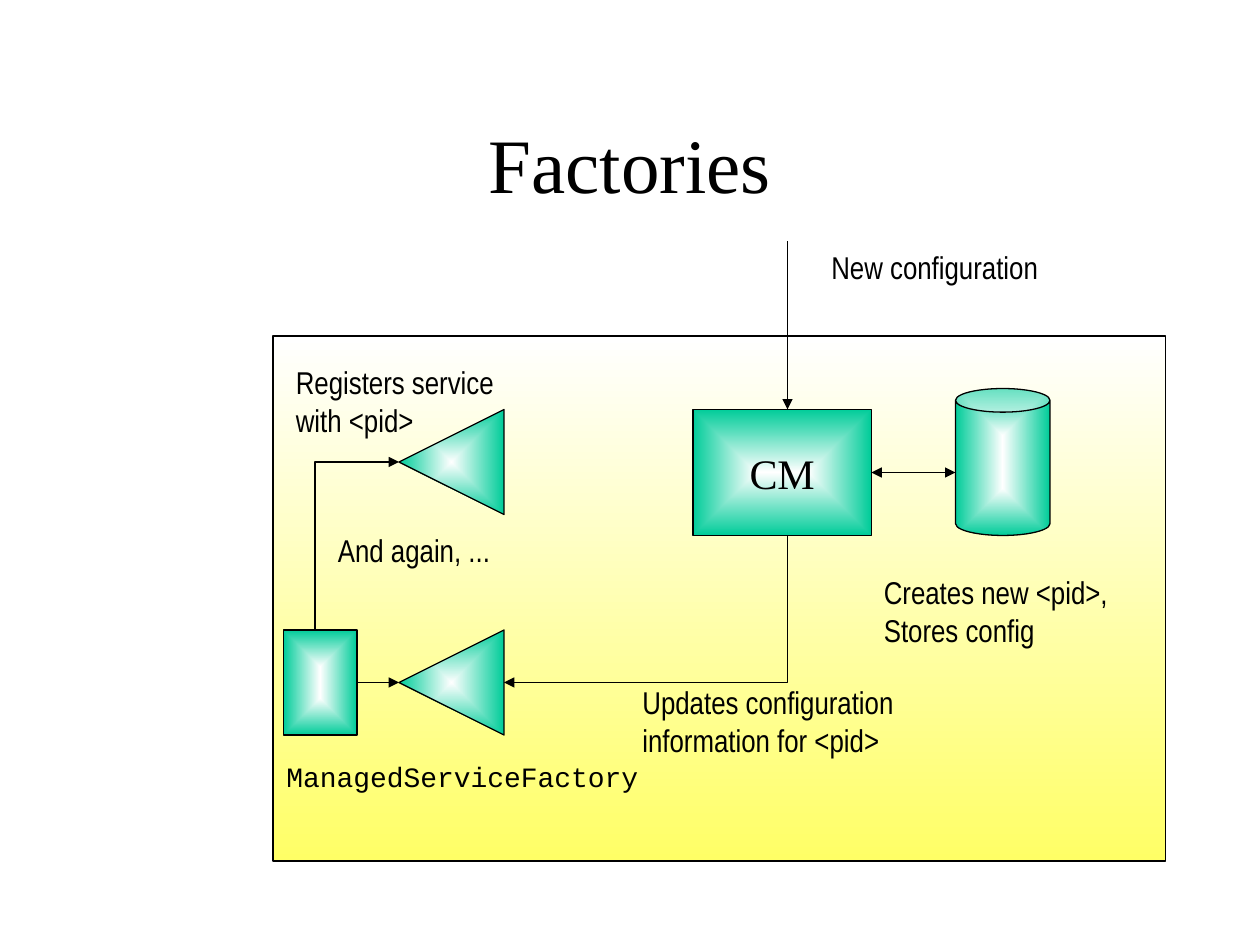
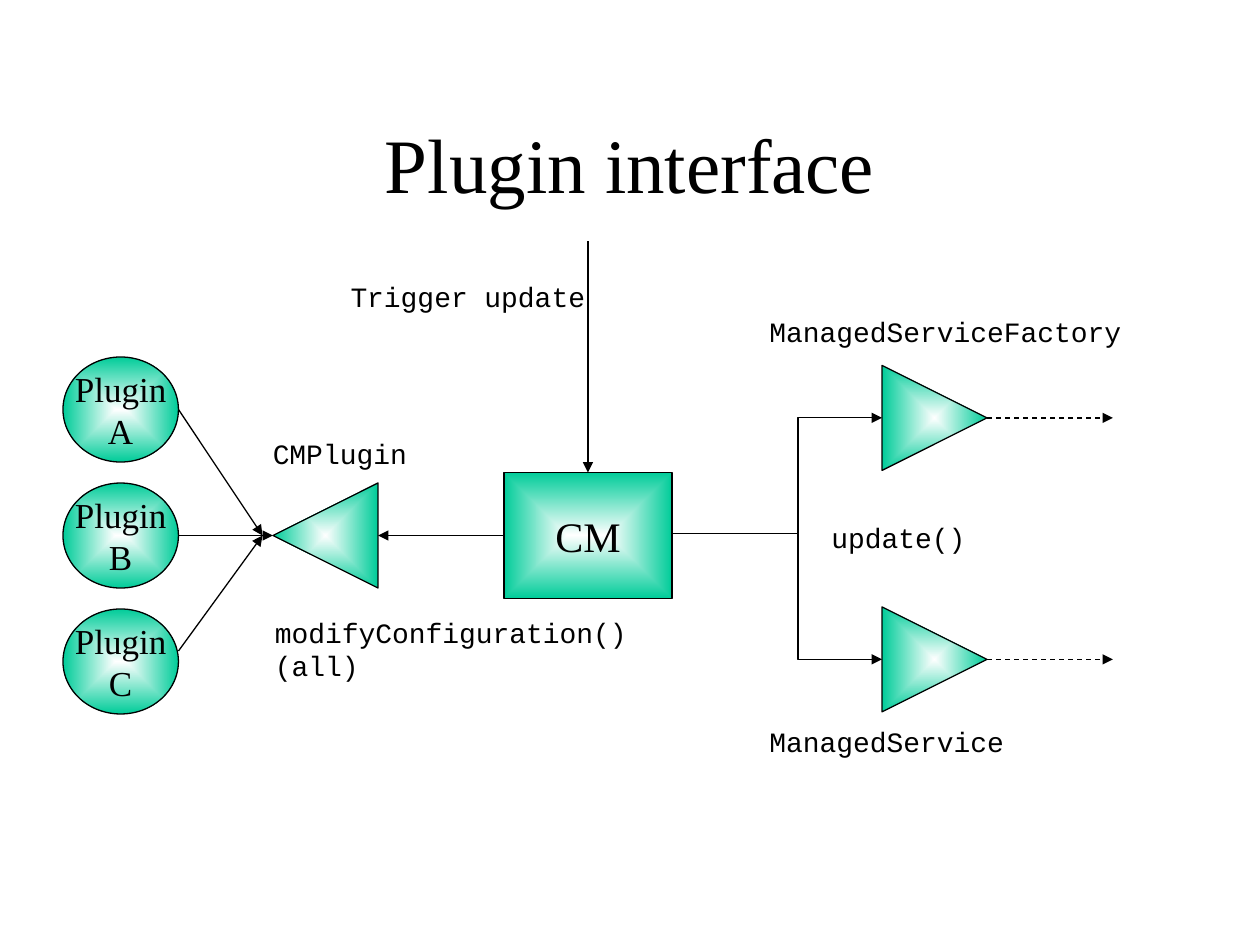
"""Build two slides on configuration factories and the plugin interface."""
from dataclasses import dataclass

from lxml import etree
from pptx import Presentation
from pptx import util as u
from pptx.dml.color import RGBColor
from pptx.enum import dml, shapes, text
from pptx.oxml.ns import qn

EMU_PER_PX = 7620
SHAPE = shapes.MSO_SHAPE
ALIGN = text.PP_ALIGN


@dataclass(frozen=True)
class Theme:
    ink: RGBColor = RGBColor(0, 0, 0)
    white: RGBColor = RGBColor(255, 255, 255)
    green: RGBColor = RGBColor(0, 204, 153)
    yellow: RGBColor = RGBColor(255, 255, 102)
    line: float = 0.75
    title: tuple = ("Times New Roman", 44)
    node: tuple = ("Times New Roman", 24)
    plugin: tuple = ("Times New Roman", 20)
    note: tuple = ("Arial Narrow", 18)
    code: tuple = ("Courier New", 16)


THEME = Theme()


def px(*lengths):
    return [u.Emu(length * EMU_PER_PX) for length in lengths]


def write_text(frame, lines, style, alignment=ALIGN.LEFT):
    font_name, size = style
    frame.text = "\n".join(lines)
    for paragraph in frame.paragraphs:
        paragraph.alignment = alignment
        paragraph.font.name = font_name
        paragraph.font.size = u.Pt(size)
        paragraph.font.color.rgb = THEME.ink


def add_title(slide, title):
    frame = slide.shapes.add_textbox(*px(90, 80, 1020, 150)).text_frame
    frame.word_wrap = True
    frame.vertical_anchor = text.MSO_ANCHOR.MIDDLE
    write_text(frame, [title], THEME.title, ALIGN.CENTER)


def add_label(slide, left, top, width, lines, style):
    height = 12 + 2 * style[1] * len(lines)
    frame = slide.shapes.add_textbox(*px(left, top, width, height)).text_frame
    frame.word_wrap = False
    frame.auto_size = text.MSO_AUTO_SIZE.SHAPE_TO_FIT_TEXT
    write_text(frame, lines, style)


def draw_line(line):
    line.color.rgb = THEME.ink
    line.width = u.Pt(THEME.line)


def fill_gradient(shape, color):
    shape.fill.gradient()
    shape.fill.gradient_angle = 270
    for stop, stop_color in zip(shape.fill.gradient_stops, (THEME.white, color)):
        stop.color.rgb = stop_color


def center_gradient(shape):
    linear = shape.element.spPr.find(qn("a:gradFill")).find(qn("a:lin"))
    radial = etree.Element(qn("a:path"), {"path": "rect"})
    etree.SubElement(radial, qn("a:fillToRect"), dict.fromkeys("ltrb", "50000"))
    linear.getparent().replace(linear, radial)


def add_panel(slide, kind, box, color):
    shape = slide.shapes.add_shape(kind, *px(*box))
    shape.shadow.inherit = False
    fill_gradient(shape, color)
    draw_line(shape.line)
    return shape


def add_node(slide, kind, box, lines=(), style=THEME.node):
    shape = add_panel(slide, kind, box, THEME.green)
    center_gradient(shape)
    if lines:
        shape.text_frame.word_wrap = False
        shape.text_frame.vertical_anchor = text.MSO_ANCHOR.MIDDLE
        write_text(shape.text_frame, lines, style, ALIGN.CENTER)
    return shape


def add_service(slide, left, top, rotation):
    triangle = add_node(slide, SHAPE.ISOSCELES_TRIANGLE, (left, top, 100, 100))
    triangle.rotation = rotation


def add_arrowheads(shape, ends=("tailEnd",)):
    outline = shape.element.spPr.find(qn("a:ln"))
    for end in ends:
        etree.SubElement(outline, qn(f"a:{end}"), {"type": "triangle"})


def add_arrow(slide, start, end, ends=("tailEnd",), dashed=False):
    connector = slide.shapes.add_connector(
        shapes.MSO_CONNECTOR.STRAIGHT, *px(*start, *end))
    draw_line(connector.line)
    if dashed:
        connector.line.dash_style = dml.MSO_LINE.DASH
    add_arrowheads(connector, ends)
    etree.SubElement(connector.element.spPr, qn("a:effectLst"))
    return connector


def add_bent_arrow(slide, start, *corners):
    builder = slide.shapes.build_freeform(*start, scale=EMU_PER_PX)
    builder.add_line_segments(corners, close=False)
    shape = builder.convert_to_shape()
    shape.shadow.inherit = False
    shape.fill.background()
    draw_line(shape.line)
    add_arrowheads(shape)


def build_factories(slide):
    add_title(slide, "Factories")
    add_panel(slide, SHAPE.RECTANGLE, (260, 320, 850, 500), THEME.yellow)
    add_node(slide, SHAPE.CAN, (910, 370, 90, 140))
    manager = add_node(slide, SHAPE.RECTANGLE, (660, 390, 170, 120), ["CM"])
    client = add_node(slide, SHAPE.RECTANGLE, (270, 600, 70, 100))
    for top in (600, 390):
        add_service(slide, 380, top, 270)

    add_bent_arrow(slide, (750, 510), (750, 650), (480, 650))
    add_bent_arrow(slide, (300, 600), (300, 440), (380, 440))
    storage = add_arrow(slide, (830, 450), (910, 450), ("headEnd", "tailEnd"))
    storage.begin_connect(manager, 3)
    add_arrow(slide, (750, 230), (750, 390))
    add_arrow(slide, (340, 650), (380, 650)).begin_connect(client, 3)

    add_label(slide, 261, 717, 360, ["ManagedServiceFactory"], THEME.code)
    for left, top, width, lines in (
        (600, 645, 265, ["Updates configuration", "information for <pid>"]),
        (830, 540, 240, ["Creates new <pid>,", "Stores config"]),
        (780, 230, 230, ["New configuration"]),
        (270, 340, 216, ["Registers service", "with <pid>"]),
        (310, 500, 171, ["And again, ..."]),
    ):
        add_label(slide, left, top, width, lines, THEME.note)


def build_plugin_interface(slide):
    add_title(slide, "Plugin interface")
    manager = add_node(slide, SHAPE.RECTANGLE, (480, 450, 160, 120), ["CM"])
    add_service(slide, 260, 460, 270)
    for row, letter in enumerate("ABC"):
        add_node(slide, SHAPE.OVAL, (60, 340 + 120 * row, 110, 100),
                 ["Plugin", letter], THEME.plugin)
    for start_y, end_x in ((510, 260), (620, 250), (390, 250)):
        add_arrow(slide, (170, start_y), (end_x, 510))

    for start_x, service_y in ((650, 398), (640, 628)):
        add_service(slide, 840, service_y - 50, 90)
        add_arrow(slide, (940, service_y), (1060, service_y), dashed=True)
        add_bent_arrow(slide, (start_x, 508), (760, 508),
                       (760, service_y), (840, service_y))
    add_arrow(slide, (480, 510), (360, 510)).begin_connect(manager, 1)
    add_arrow(slide, (560, 230), (560, 450)).end_connect(manager, 0)

    for left, top, width, lines in (
        (721, 684, 251, ["ManagedService"]),
        (721, 294, 360, ["ManagedServiceFactory"]),
        (250, 580, 360, ["modifyConfiguration()", "(all)"]),
        (780, 490, 155, ["update()"]),
        (322, 260, 251, ["Trigger update"]),
        (248, 410, 155, ["CMPlugin"]),
    ):
        add_label(slide, left, top, width, lines, THEME.code)


def main():
    presentation = Presentation()
    presentation.slide_width, presentation.slide_height = px(1200, 900)
    blank = presentation.slide_layouts[6]
    for build in (build_factories, build_plugin_interface):
        build(presentation.slides.add_slide(blank))
    presentation.save("out.pptx")


if __name__ == "__main__":
    main()
